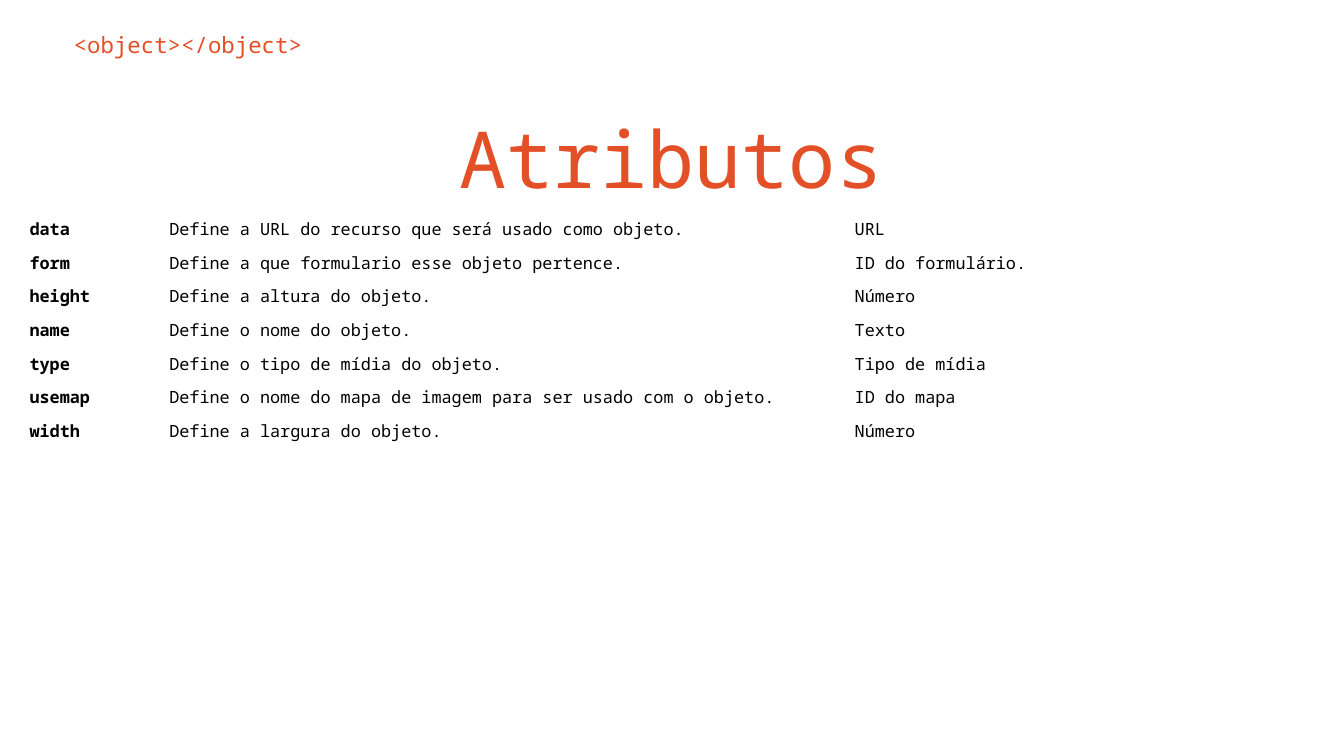
"""Build a slide listing the attributes of the HTML object element."""
from pptx import Presentation
from pptx.dml.color import RGBColor
from pptx.enum.text import MSO_ANCHOR as Anchor, PP_ALIGN as Align
from pptx.util import Inches, Pt

FONT = "Noto Sans Mono"
COLORS = {"accent": "E34F26", "text": "000000"}
TAG = "<object></object>"
TITLE = "Atributos"
ATTRIBUTES = [
    ("data", "Define a URL do recurso que será usado como objeto.", "URL"),
    ("form", "Define a que formulario esse objeto pertence.", "ID do formulário."),
    ("height", "Define a altura do objeto.", "Número"),
    ("name", "Define o nome do objeto.", "Texto"),
    ("type", "Define o tipo de mídia do objeto.", "Tipo de mídia"),
    ("usemap", "Define o nome do mapa de imagem para ser usado com o objeto.", "ID do mapa"),
    ("width", "Define a largura do objeto.", "Número"),
]
COLUMN_WIDTHS = (1.04, 5.1, 3.37)
ROW_HEIGHT = 0.25
CELL_MARGIN = 0.04


def write(frame, text, size, color="text", bold=False, align=Align.LEFT):
    frame.word_wrap = True
    para = frame.paragraphs[0]
    para.alignment = align
    span = para.add_run()
    span.text = text
    span.font.name = FONT
    span.font.size = Pt(size)
    span.font.bold = bold
    span.font.color.rgb = RGBColor.from_string(COLORS[color])


def add_heading(page, text, place, size, align=Align.LEFT):
    box = page.shapes.add_textbox(*map(Inches, place))
    frame = box.text_frame
    frame.margin_left = frame.margin_right = Inches(0.1)
    frame.margin_top = frame.margin_bottom = Inches(0.1)
    frame.vertical_anchor = Anchor.MIDDLE
    write(frame, text, size, color="accent", align=align)


def add_attributes(page, left, top):
    rows, columns = len(ATTRIBUTES), len(COLUMN_WIDTHS)
    size = (sum(COLUMN_WIDTHS), ROW_HEIGHT * rows)
    table = page.shapes.add_table(rows, columns, *map(Inches, (left, top, *size))).table
    table.first_row = table.horz_banding = False
    for column, width in zip(table.columns, COLUMN_WIDTHS):
        column.width = Inches(width)
    for row, texts in zip(table.rows, ATTRIBUTES):
        row.height = Inches(ROW_HEIGHT)
        for index, (cell, text) in enumerate(zip(row.cells, texts)):
            cell.fill.background()
            cell.margin_left = cell.margin_right = Inches(CELL_MARGIN)
            cell.margin_top = cell.margin_bottom = Inches(CELL_MARGIN)
            cell.vertical_anchor = Anchor.TOP
            write(cell.text_frame, text, 9, bold=index == 0)
    style = table._tbl.tblPr.find("{*}tableStyleId")
    style.text = "{2D5ABB26-0587-4C30-8999-92F81FD0307C}"


def main():
    deck = Presentation()
    deck.slide_width = Inches(10)
    deck.slide_height = deck.slide_width * 9 // 16
    page = deck.slides.add_slide(deck.slide_layouts[6])
    add_heading(page, TAG, (0.45, 0.12, 9.18, 0.42), 12)
    add_heading(page, TITLE, (0.71, 0.74, 8.57, 0.86), 42, align=Align.CENTER)
    add_attributes(page, 0.18, 1.58)
    deck.save("out.pptx")


if __name__ == "__main__":
    main()
